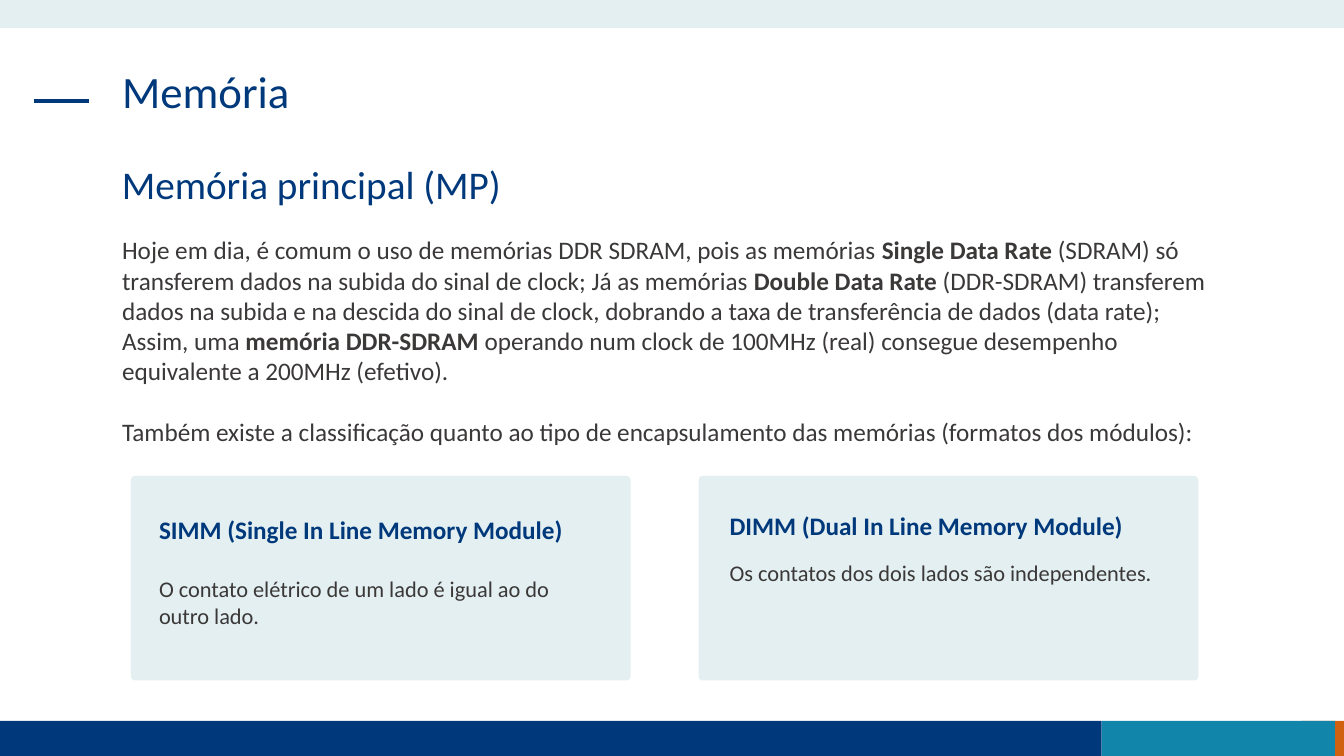
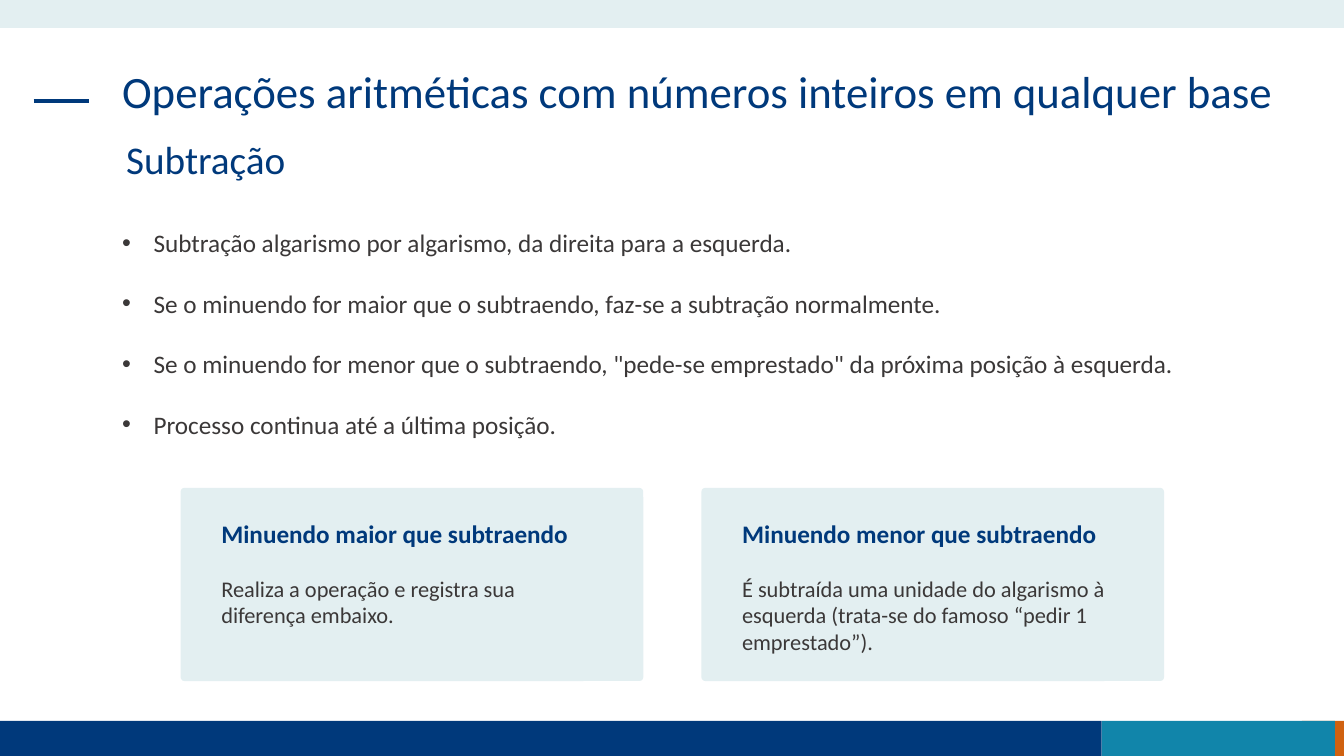
import lxml.etree
import pptx
import pptx.dml.color
import pptx.enum.shapes
import pptx.enum.text
import pptx.oxml.ns
import pptx.util

Pt = pptx.util.Pt
Shape = pptx.enum.shapes.MSO_SHAPE
Fit = pptx.enum.text.MSO_AUTO_SIZE


def color(hex_text):
    return pptx.dml.color.RGBColor.from_string(hex_text)


def set_all(target, values):
    for name, value in values.items():
        setattr(target, name, value)


class Deck:
    """Holds the shared style and the slide being built."""

    NAVY, TEAL, ORANGE, PALE, GRAY = "00397B", "1185AA", "D06110", "E3EFF1", "3B3838"
    WIDTH, HEIGHT = 960, 540
    LEFT = 80
    FOOTER_TOP = 515
    BULLET_INDENT = 22.5
    PARAGRAPH_GAP = 21.6
    # Each text style: font values, colour and paragraph values
    STYLES = {
        "title": ({"size": Pt(32), "bold": False}, NAVY, {"line_spacing": 0.9}),
        "subtitle": ({"size": Pt(28), "bold": False}, NAVY, {"line_spacing": 0.9}),
        "body": ({"size": Pt(18), "bold": False}, GRAY, {"line_spacing": 1.0}),
        "card_head": ({"size": Pt(18), "bold": True}, NAVY, {"line_spacing": 1.0}),
        "card_text": ({"size": Pt(16), "bold": False}, GRAY, {"line_spacing": 1.0}),
    }
    FRAME = {
        "word_wrap": True,
        "vertical_anchor": pptx.enum.text.MSO_ANCHOR.TOP,
        "margin_left": Pt(7.2), "margin_right": Pt(7.2),
        "margin_top": Pt(3.6), "margin_bottom": Pt(3.6),
    }

    def __init__(self):
        self.presentation = pptx.Presentation()
        set_all(self.presentation, {"slide_width": Pt(self.WIDTH),
                                    "slide_height": Pt(self.HEIGHT)})
        self.slide = None

    def new_slide(self, title, title_width):
        layout = self.presentation.slide_layouts.get_by_name("Title and Content")
        self.slide = self.presentation.slides.add_slide(layout)
        self.bands()
        self.title_dash()
        shape = self.slide.shapes.title
        self.place(shape, self.LEFT, 46, title_width, 68)
        self.set_text(shape, [title], "title")

    def place(self, shape, left, top, width, height):
        set_all(shape, {"left": Pt(left), "top": Pt(top),
                        "width": Pt(width), "height": Pt(height)})

    # Shared decoration
    def bands(self):
        footer_height = self.HEIGHT - self.FOOTER_TOP
        for left, top, width, height, fill in (
            (930, self.FOOTER_TOP, 30, footer_height, self.ORANGE),
            (0, self.FOOTER_TOP, 787, footer_height, self.NAVY),
            (787, self.FOOTER_TOP, 166.5, footer_height, self.TEAL),
            (0, 0, self.WIDTH, 20, self.PALE),
        ):
            self.block(Shape.RECTANGLE, left, top, width, height, fill)

    def title_dash(self):
        dash = self.slide.shapes.add_connector(
            pptx.enum.shapes.MSO_CONNECTOR.STRAIGHT, Pt(24), Pt(72), Pt(63.5), Pt(72))
        dash.line.color.rgb = color(self.NAVY)
        dash.line.width = Pt(3)
        lxml.etree.SubElement(dash._element.spPr, pptx.oxml.ns.qn("a:effectLst"))

    def block(self, kind, left, top, width, height, fill):
        shape = self.slide.shapes.add_shape(kind, Pt(left), Pt(top), Pt(width), Pt(height))
        shape.shadow.inherit = False
        shape.fill.solid()
        shape.fill.fore_color.rgb = color(fill)
        shape.line.fill.background()
        return shape

    # Text
    def set_text(self, shape, texts, style, bullets=None, fit=Fit.NONE):
        """Add one paragraph per text; **marks** set bold runs."""
        font_values, font_color, paragraph_values = self.STYLES[style]
        frame = shape.text_frame
        set_all(frame, {**self.FRAME, "auto_size": fit})
        for index, text in enumerate(texts):
            paragraph = frame.add_paragraph() if index else frame.paragraphs[0]
            if bullets is not None:
                self.bullet(paragraph, bullets)
            set_all(paragraph, {
                **paragraph_values,
                "alignment": pptx.enum.text.PP_ALIGN.LEFT,
                "space_before": Pt(self.PARAGRAPH_GAP if index else 0)})
            for position, part in enumerate(text.split("**")):
                run = paragraph.add_run()
                run.text = part
                set_all(run.font, {"name": "Calibri", **font_values})
                run.font.color.rgb = color(font_color)
                if position % 2:
                    run.font.bold = True

    def bullet(self, paragraph, visible):
        properties = paragraph._p.get_or_add_pPr()
        indent = Pt(self.BULLET_INDENT) if visible else 0
        properties.set("marL", str(indent))
        properties.set("indent", str(-indent))
        if visible:
            font = lxml.etree.SubElement(properties, pptx.oxml.ns.qn("a:buFont"))
            font.set("typeface", "Arial")
            mark = lxml.etree.SubElement(properties, pptx.oxml.ns.qn("a:buChar"))
            mark.set("char", "•")
        else:
            lxml.etree.SubElement(properties, pptx.oxml.ns.qn("a:buNone"))

    def text_box(self, left, top, width, height, text, style, fit=Fit.NONE):
        box = self.slide.shapes.add_textbox(Pt(left), Pt(top), Pt(width), Pt(height))
        self.set_text(box, [text], style, fit=fit)

    def subtitle(self, left, top, text):
        self.text_box(left, top, 800, 68, text, "subtitle")

    def body(self, top, width, texts, bullets=False):
        shape = self.slide.placeholders[1]
        self.place(shape, self.LEFT, top, width, 160)
        self.set_text(shape, texts, "body", bullets)

    # Cards: each is (heading, text, text inset, heading offset, text offset, line count)
    def cards(self, left, top, width, height, pitch, text_width, cards):
        for index, (head, text, inset, head_offset, text_offset, lines) in enumerate(cards):
            card_left = left + index * pitch
            card = self.block(Shape.ROUNDED_RECTANGLE, card_left, top, width, height, self.PALE)
            card.adjustments[0] = 0.02
            text_left = card_left + inset
            self.text_box(text_left, top + head_offset, text_width, 29,
                          head, "card_head", Fit.SHAPE_TO_FIT_TEXT)
            self.text_box(text_left, top + text_offset, text_width, 7.2 + 19.5 * lines,
                          text, "card_text", Fit.SHAPE_TO_FIT_TEXT)


def main():
    deck = Deck()

    # Main memory
    deck.new_slide("Memória", 800)
    deck.subtitle(deck.LEFT, 114.5, "Memória principal (MP)")
    deck.body(164, 790, [
        "Hoje em dia, é comum o uso de memórias DDR SDRAM, pois as memórias "
        "**Single Data Rate** (SDRAM) só transferem dados na subida do sinal de clock; "
        "Já as memórias **Double Data Rate** (DDR-SDRAM) transferem dados na subida e na "
        "descida do sinal de clock, dobrando a taxa de transferência de dados (data rate); "
        "Assim, uma **memória DDR-SDRAM** operando num clock de 100MHz (real) consegue "
        "desempenho equivalente a 200MHz (efetivo).",
        "Também existe a classificação quanto ao tipo de encapsulamento das memórias "
        "(formatos dos módulos):",
    ])
    deck.cards(93.5, 340, 357, 146, 405.5, 328, [
        ("SIMM (Single In Line Memory Module)",
         "O contato elétrico de um lado é igual ao do outro lado.", 13, 24, 67.5, 2),
        ("DIMM (Dual In Line Memory Module)",
         "Os contatos dos dois lados são independentes.", 15, 21, 56, 1),
    ])

    # Subtraction
    deck.new_slide("Operações aritméticas com números inteiros em qualquer base", 838)
    deck.subtitle(83, 97, "Subtração")
    deck.body(159, 778, [
        "Subtração algarismo por algarismo, da direita para a esquerda.",
        "Se o minuendo for maior que o subtraendo, faz-se a subtração normalmente.",
        "Se o minuendo for menor que o subtraendo, \"pede-se emprestado\" da próxima "
        "posição à esquerda.",
        "Processo continua até a última posição.",
    ], bullets=True)
    deck.cards(129, 348.5, 330.5, 138, 372, 286, [
        ("Minuendo maior que subtraendo",
         "Realiza a operação e registra sua diferença embaixo.", 22, 18.5, 58.5, 2),
        ("Minuendo menor que subtraendo",
         "É subtraída uma unidade do algarismo à esquerda "
         "(trata-se do famoso “pedir 1 emprestado”).", 22, 18.5, 58.5, 3),
    ])

    deck.presentation.save("out.pptx")


if __name__ == "__main__":
    main()
